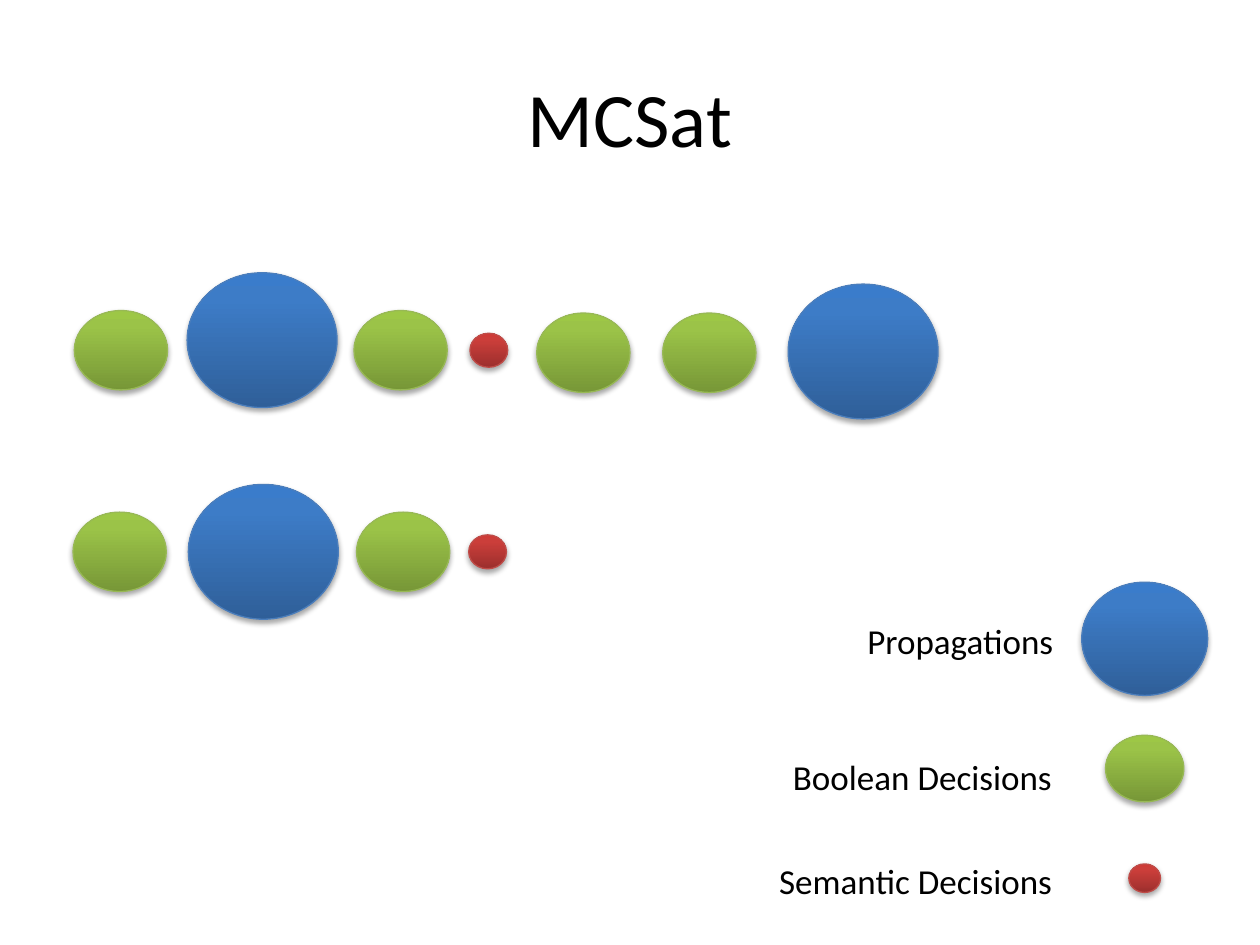
from copy import deepcopy
from dataclasses import dataclass

from lxml.etree import SubElement
from pptx import Presentation
from pptx.dml.color import RGBColor
from pptx.enum.shapes import MSO_SHAPE as Preset
from pptx.enum.text import MSO_ANCHOR as Anchor, MSO_AUTO_SIZE as AutoSize, PP_ALIGN as Align
from pptx.oxml.ns import qn
from pptx.util import Inches, Pt


@dataclass(frozen=True)
class Ball:
    """Size in grid cells, gradient colours from bottom to top, and outline."""
    width: float
    height: float
    gradient: tuple
    outline: str


@dataclass(frozen=True)
class Theme:
    font: str = "Calibri"
    text: str = "000000"
    title_size: int = 44
    label_size: int = 20
    outline_width: float = 0.75
    stops: tuple = (0, 0.8, 1)
    propagation: Ball = Ball(11.9, 10.7, ("2F5F99", "3D7CC7", "3A7CCB"), "4B7EBC")
    boolean: Ball = Ball(7.4, 6.3, ("779737", "9BC348", "9DC746"), "98B955")
    semantic: Ball = Ball(3, 2.7, ("9C2F2D", "CB3E3A", "CE3B37"), "BF4C48")


class SlideBuilder:
    """Draws on a grid of 100 columns by 75 rows."""

    def __init__(self, slide, theme, cell=Inches(0.1)):
        self.slide, self.theme, self.cell = slide, theme, cell

    def place(self, *cells):
        return [round(value * self.cell) for value in cells]

    def text(self, words, box, size, align=Align.LEFT, wrap=False):
        frame = self.slide.shapes.add_textbox(*self.place(*box)).text_frame
        frame.word_wrap = wrap
        frame.auto_size = AutoSize.NONE if wrap else AutoSize.SHAPE_TO_FIT_TEXT
        frame.vertical_anchor = Anchor.MIDDLE if wrap else Anchor.TOP
        paragraph = frame.paragraphs[0]
        paragraph.alignment = align
        run = paragraph.add_run()
        run.text = words
        run.font.name = self.theme.font
        run.font.size = Pt(size)
        run.font.color.rgb = RGBColor.from_string(self.theme.text)

    def ball(self, kind, center_x, center_y, scale=1):
        width, height = kind.width * scale, kind.height * scale
        shape = self.slide.shapes.add_shape(Preset.OVAL, *self.place(
            center_x - width / 2, center_y - height / 2, width, height))
        shape.line.color.rgb = RGBColor.from_string(kind.outline)
        shape.line.width = Pt(self.theme.outline_width)
        self.shade(shape, kind.gradient)
        self.cast_shadow(shape)

    def shade(self, shape, colors):
        fill = shape.fill
        fill.gradient()
        fill.gradient_angle = 90
        stop_list = shape.element.spPr.find(qn("a:gradFill")).find(qn("a:gsLst"))
        stop_list.append(deepcopy(stop_list[-1]))
        for stop, position, color in zip(fill.gradient_stops, self.theme.stops, colors):
            stop.position = position
            stop.color.rgb = RGBColor.from_string(color)

    def cast_shadow(self, shape):
        shape.shadow.inherit = False
        effects = shape.element.spPr.find(qn("a:effectLst"))
        shadow = SubElement(effects, qn("a:outerShdw"), blurRad=str(Pt(3.1)),
                            dist=str(Pt(1.8)), dir="5400000", rotWithShape="0")
        color = SubElement(shadow, qn("a:srgbClr"), val="000000")
        SubElement(color, qn("a:alpha"), val="35000")


def main():
    presentation = Presentation()
    presentation.slide_width, presentation.slide_height = Inches(10), Inches(7.5)
    theme = Theme()
    builder = SlideBuilder(presentation.slides.add_slide(presentation.slide_layouts[6]), theme)
    propagation, boolean, semantic = theme.propagation, theme.boolean, theme.semantic

    builder.text("MCSat", (5, 3, 90, 12.5), theme.title_size, Align.CENTER, wrap=True)

    full_trail = [(boolean, 9.6, 27.8), (propagation, 20.8, 27), (boolean, 31.8, 27.8),
                  (semantic, 38.8, 27.8), (boolean, 46.3, 28), (boolean, 56.3, 28),
                  (propagation, 68.5, 27.9)]
    shortened_trail = [(boolean, 9.5, 43.8), (propagation, 20.9, 43.8),
                       (boolean, 32, 43.8), (semantic, 38.7, 43.8)]
    for kind, center_x, center_y in full_trail + shortened_trail:
        builder.ball(kind, center_x, center_y)

    label_right, label_height, key_x, key_scale = 84.75, 4.4, 90.85, 0.84
    legend = [("Propagations", 16.9, 48.7, propagation, 50.7),
              ("Boolean Decisions", 22.8, 59.5, boolean, 61),
              ("Semantic Decisions", 23.9, 67.7, semantic, 69.7)]
    for words, width, top, kind, key_y in legend:
        builder.text(words, (label_right - width, top, width, label_height), theme.label_size)
        builder.ball(kind, key_x, key_y, key_scale)

    presentation.save("out.pptx")


if __name__ == "__main__":
    main()
